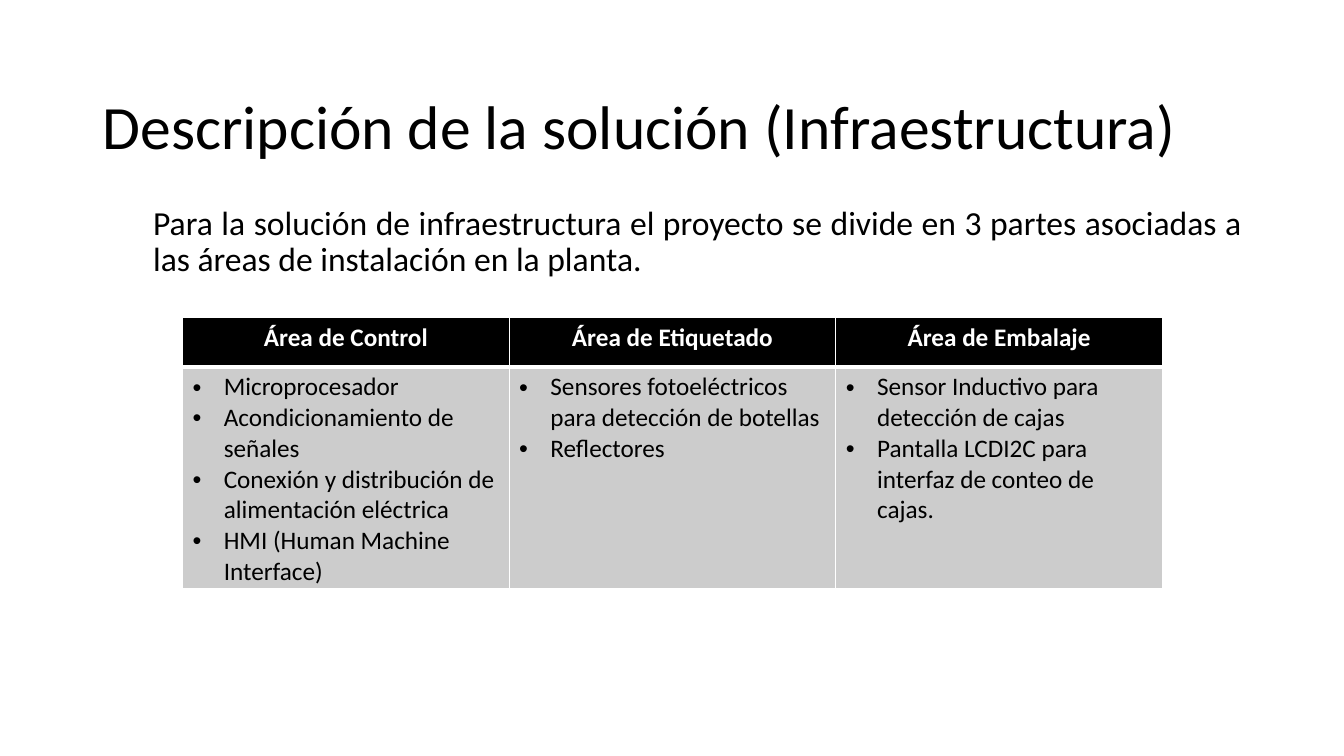
from lxml import etree
from pptx import Presentation, util as u
from pptx.dml.color import RGBColor
from pptx.enum import text
from pptx.oxml.ns import qn

COLORS = {"ink": "000000", "paper": "FFFFFF", "cell": "CCCCCC"}
FONT = "Calibri"
AREAS = {
    "Área de Control": [
        "Microprocesador",
        "Acondicionamiento de señales",
        "Conexión y distribución de alimentación eléctrica",
        "HMI (Human Machine Interface)",
    ],
    "Área de Etiquetado": [
        "Sensores fotoeléctricos para detección de botellas",
        "Reflectores",
    ],
    "Área de Embalaje": [
        "Sensor Inductivo para detección de cajas",
        "Pantalla LCDI2C para interfaz de conteo de cajas.",
    ],
}


def style_runs(para, size, color="ink", bold=False):
    for span in para.runs:
        span.font.name = FONT
        span.font.size = u.Pt(size)
        span.font.bold = bold
        span.font.color.rgb = RGBColor.from_string(COLORS[color])


def set_indent(para, left, first):
    props = para._p.get_or_add_pPr()
    props.set("marL", str(u.Inches(left)))
    props.set("indent", str(u.Inches(first)))
    return props


def add_text(page, box, wording, size):
    frame = page.shapes.add_textbox(*map(u.Inches, box)).text_frame
    frame.word_wrap = True
    frame.text = wording
    para = frame.paragraphs[0]
    para.line_spacing = 0.9
    style_runs(para, size)
    return frame


def add_title(page, box):
    frame = add_text(page, box, "Descripción de la solución (Infraestructura)", 44)
    frame.vertical_anchor = text.MSO_ANCHOR.MIDDLE


def add_intro(page, box):
    wording = ("Para la solución de infraestructura el proyecto se divide en 3 partes "
               "asociadas a las áreas de instalación en la planta.")
    para = add_text(page, box, wording, 24).paragraphs[0]
    para.alignment = text.PP_ALIGN.JUSTIFY
    para.space_before = u.Pt(5)
    set_indent(para, 0.5, 0)


def style_cell(cell, fill, thick_side):
    props = cell._tc.get_or_add_tcPr()
    for side in "LRTB":
        width = 3 if side == thick_side else 1
        line = etree.SubElement(props, qn(f"a:ln{side}"), w=str(u.Pt(width)))
        solid = etree.SubElement(line, qn("a:solidFill"))
        etree.SubElement(solid, qn("a:srgbClr"), val=COLORS["paper"])
    cell.fill.solid()
    cell.fill.fore_color.rgb = RGBColor.from_string(COLORS[fill])


def add_areas(page, box, header_height=0.49):
    table = page.shapes.add_table(2, len(AREAS), *map(u.Inches, box)).table
    table.rows[0].height = u.Inches(header_height)
    table.rows[1].height = u.Inches(box[3] - header_height)
    for column, (area, items) in enumerate(AREAS.items()):
        table.columns[column].width = u.Inches(box[2] / len(AREAS))
        header, body = table.cell(0, column), table.cell(1, column)
        style_cell(header, "ink", "B")
        style_cell(body, "cell", "T")

        header.text_frame.text = area
        para = header.text_frame.paragraphs[0]
        para.alignment = text.PP_ALIGN.CENTER
        style_runs(para, 18, "paper", True)

        body.text_frame.text = "\n".join(items)
        for para in body.text_frame.paragraphs:
            style_runs(para, 18)
            props = set_indent(para, 0.31, -0.31)
            etree.SubElement(props, qn("a:buFont"), typeface="Arial")
            etree.SubElement(props, qn("a:buChar"), char="•")


def main():
    deck = Presentation()
    deck.slide_width, deck.slide_height = u.Inches(13.33), u.Inches(7.5)
    page = deck.slides.add_slide(deck.slide_layouts[6])
    add_title(page, (0.92, 0.74, 11.5, 1.1))
    add_intro(page, (0.92, 2, 11.5, 4.76))
    add_areas(page, (1.81, 3.15, 9.72, 2.69))
    deck.save("out.pptx")


if __name__ == "__main__":
    main()
